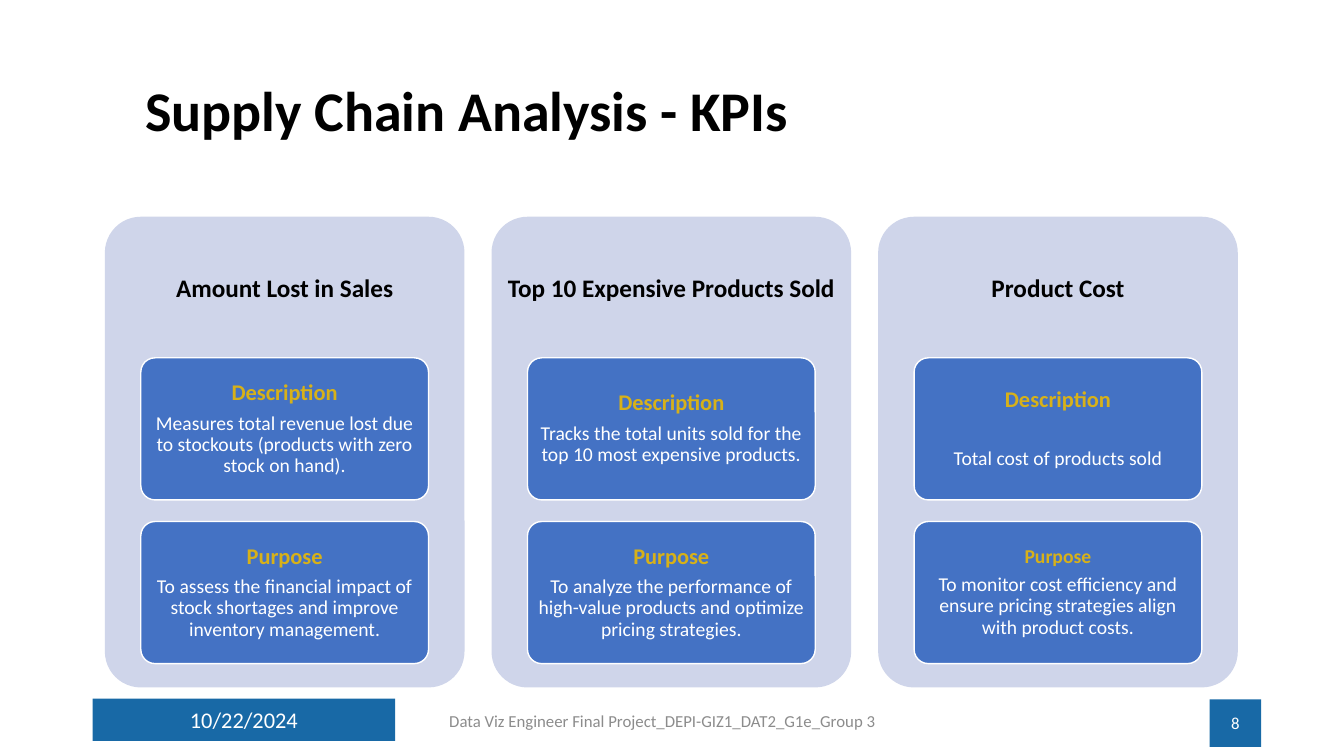
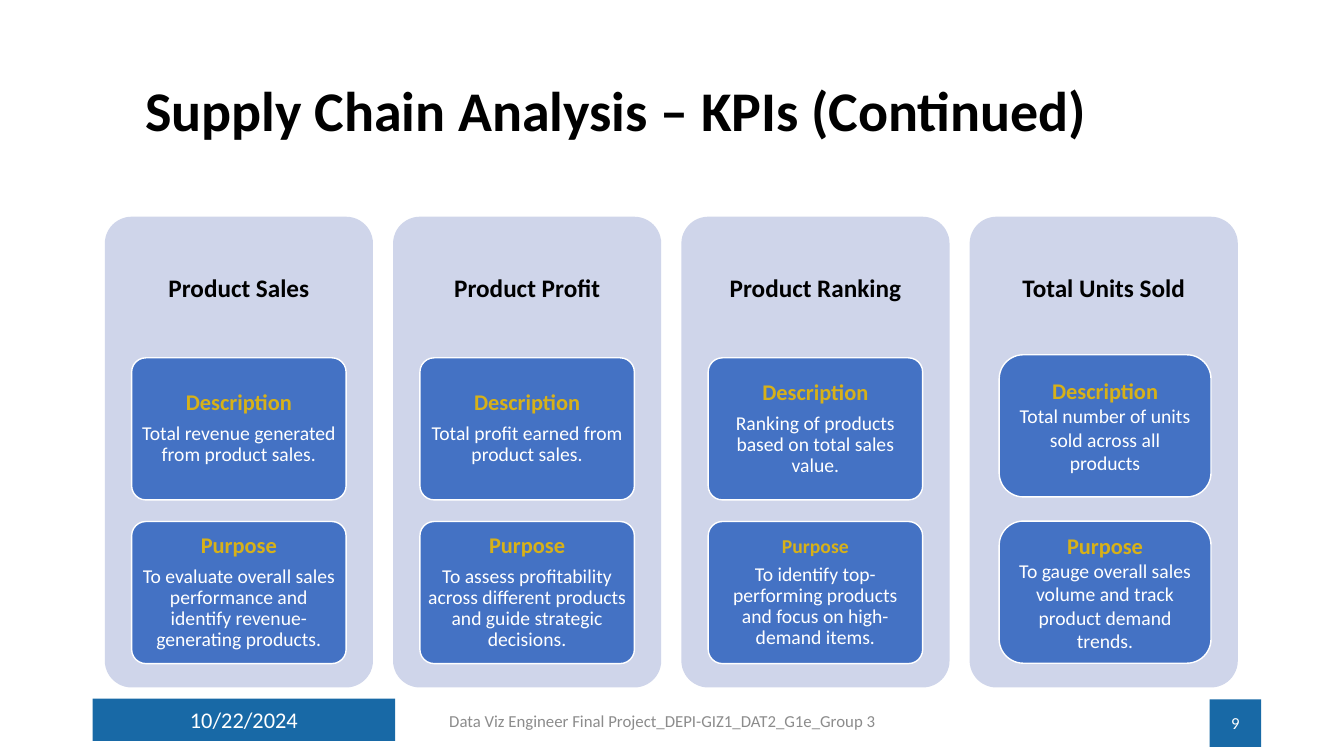
from dataclasses import dataclass

from pptx import Presentation
from pptx import util as u
from pptx.dml.color import RGBColor
from pptx.enum import shapes, text

WIDTH, HEIGHT = 13.33, 7.5
COLUMNS = ROWS = 100
FONT = "Calibri"
BAND, PANEL, CARD = "1869A6", "CFD5EA", "4472C4"
WHITE, BLACK, GOLD, GREY = "FFFFFF", "000000", "D7B119", "8C8C8C"
DATE = "10/22/2024"
FOOTER = "Data Viz Engineer Final Project_DEPI-GIZ1_DAT2_G1e_Group 3"

CENTER, LEFT = text.PP_ALIGN.CENTER, text.PP_ALIGN.LEFT


@dataclass(frozen=True)
class CardStyle:
    """Card geometry (inset and width as shares of the panel) and text spacing."""
    top: float = 47.33
    step: float = 21.65
    inset: float = 0.1
    width: float = 0.8
    corner: float = 0.1
    margins: tuple = (0.04, 0.03)
    line: float = 0.9
    after: float = 0.35


TIGHT = CardStyle()
LOOSE = CardStyle(top=46.93, step=22, inset=0.11, width=0.79, corner=0.17,
                  margins=(0.1, 0.05), line=1.0, after=0)


@dataclass
class Kpi:
    name: str
    description: str
    purpose: str
    purpose_size: int = 16
    description_gap: float = None
    style: CardStyle = TIGHT


def color(hex_string):
    return RGBColor.from_string(hex_string)


def grid_box(x, y, w, h):
    """Turn grid columns and rows into left, top, width and height."""
    column, row = WIDTH / COLUMNS, HEIGHT / ROWS
    return [u.Inches(n) for n in (x * column, y * row, w * column, h * row)]


def write(frame, *lines, align=CENTER, margins=(0.1, 0.05), line=1.0):
    """Fill a frame with lines given as (words, size, hex, bold, points after)."""
    frame.word_wrap = True
    frame.auto_size = text.MSO_AUTO_SIZE.NONE
    frame.vertical_anchor = text.MSO_ANCHOR.MIDDLE
    frame.margin_left = frame.margin_right = u.Inches(margins[0])
    frame.margin_top = frame.margin_bottom = u.Inches(margins[1])
    for index, (words, size, ink, bold, after) in enumerate(lines):
        paragraph = frame.add_paragraph() if index else frame.paragraphs[0]
        paragraph.alignment = align
        paragraph.line_spacing = line
        paragraph.space_before = u.Pt(0)
        paragraph.space_after = u.Pt(after)
        run = paragraph.add_run()
        run.text = words
        run.font.name, run.font.size, run.font.bold = FONT, u.Pt(size), bold
        run.font.color.rgb = color(ink)


class Deck:
    def __init__(self):
        self.file = Presentation()
        self.file.slide_width = u.Inches(WIDTH)
        self.file.slide_height = u.Inches(HEIGHT)
        self.slide = None

    def start(self, title, number):
        """Add a slide with its title and footer."""
        self.slide = self.file.slides.add_slide(self.file.slide_layouts[5])
        heading = self.slide.shapes.title
        heading.left, heading.top, heading.width, heading.height = grid_box(
            6.9, 5.33, 86.25, 19.33)
        write(heading.text_frame, (title, 40, BLACK, True, 0),
              align=LEFT, margins=(0.52, 0.05), line=0.9)
        self.band(6.9, 92.4, 22.5, 5.6, DATE, 16)
        self.label(31.8, 92.67, 35, 5.33, FOOTER, 12, GREY)
        self.band(90, 92.5, 3.83, 6.3, str(number), 12)

    def block(self, x, y, w, h, fill, corner=None, outline=None):
        kind = shapes.MSO_SHAPE.RECTANGLE
        if corner is not None:
            kind = shapes.MSO_SHAPE.ROUNDED_RECTANGLE
        block = self.slide.shapes.add_shape(kind, *grid_box(x, y, w, h))
        block.shadow.inherit = False
        block.fill.solid()
        block.fill.fore_color.rgb = color(fill)
        if corner is not None:
            block.adjustments[0] = corner
        if outline:
            block.line.color.rgb = color(outline)
            block.line.width = u.Pt(1)
        else:
            block.line.fill.background()
        return block

    def band(self, x, y, w, h, words, size):
        band = self.block(x, y, w, h, BAND)
        write(band.text_frame, (words, size, WHITE, False, 0))

    def label(self, x, y, w, h, words, size, ink, bold=False):
        label = self.slide.shapes.add_textbox(*grid_box(x, y, w, h))
        write(label.text_frame, (words, size, ink, bold, 0))

    def card(self, x, y, w, heading, body, style, size=16, gap=None):
        card = self.block(x, y, w, 18.8, CARD, style.corner, WHITE)
        heading_gap = size * style.after if gap is None else gap
        write(card.text_frame,
              (heading, size, GOLD, True, heading_gap),
              (body, 14, WHITE, False, 14 * style.after),
              margins=style.margins, line=style.line)

    def panels(self, kpis):
        """Spread one panel per KPI evenly, each with two cards."""
        left, top, span, gap = 7.8, 28.67, 84.3, 0.075
        width = span / (len(kpis) + gap * (len(kpis) - 1))
        for index, kpi in enumerate(kpis):
            x = left + index * width * (1 + gap)
            style = kpi.style
            self.block(x, top, width, 62.27, PANEL, 0.1)
            self.label(x, top, width, 18.67, kpi.name, 18, BLACK, True)
            card_x, card_width = x + style.inset * width, style.width * width
            self.card(card_x, style.top, card_width, "Description",
                      kpi.description, style, gap=kpi.description_gap)
            self.card(card_x, style.top + style.step, card_width, "Purpose",
                      kpi.purpose, style, size=kpi.purpose_size)


SLIDES = [
    ("Supply Chain Analysis - KPIs", [
        Kpi("Amount Lost in Sales",
            "Measures total revenue lost due to stockouts (products with zero stock on hand).",
            "To assess the financial impact of stock shortages and improve inventory management."),
        Kpi("Top 10 Expensive Products Sold",
            "Tracks the total units sold for the top 10 most expensive products.",
            "To analyze the performance of high-value products and optimize pricing strategies."),
        Kpi("Product Cost",
            "Total cost of products sold",
            "To monitor cost efficiency and ensure pricing strategies align with product costs.",
            purpose_size=14, description_gap=26),
    ]),
    ("Supply Chain Analysis – KPIs (Continued)", [
        Kpi("Product Sales",
            "Total revenue generated from product sales.",
            "To evaluate overall sales performance and identify revenue-generating products."),
        Kpi("Product Profit",
            "Total profit earned from product sales.",
            "To assess profitability across different products and guide strategic decisions."),
        Kpi("Product Ranking",
            "Ranking of products based on total sales value.",
            "To identify top-performing products and focus on high-demand items.",
            purpose_size=14),
        Kpi("Total Units Sold",
            "Total number of units sold across all products",
            "To gauge overall sales volume and track product demand trends.",
            style=LOOSE),
    ]),
]


def main():
    deck = Deck()
    for number, (title, kpis) in enumerate(SLIDES, start=8):
        deck.start(title, number)
        deck.panels(kpis)
    deck.file.save("out.pptx")


if __name__ == "__main__":
    main()
